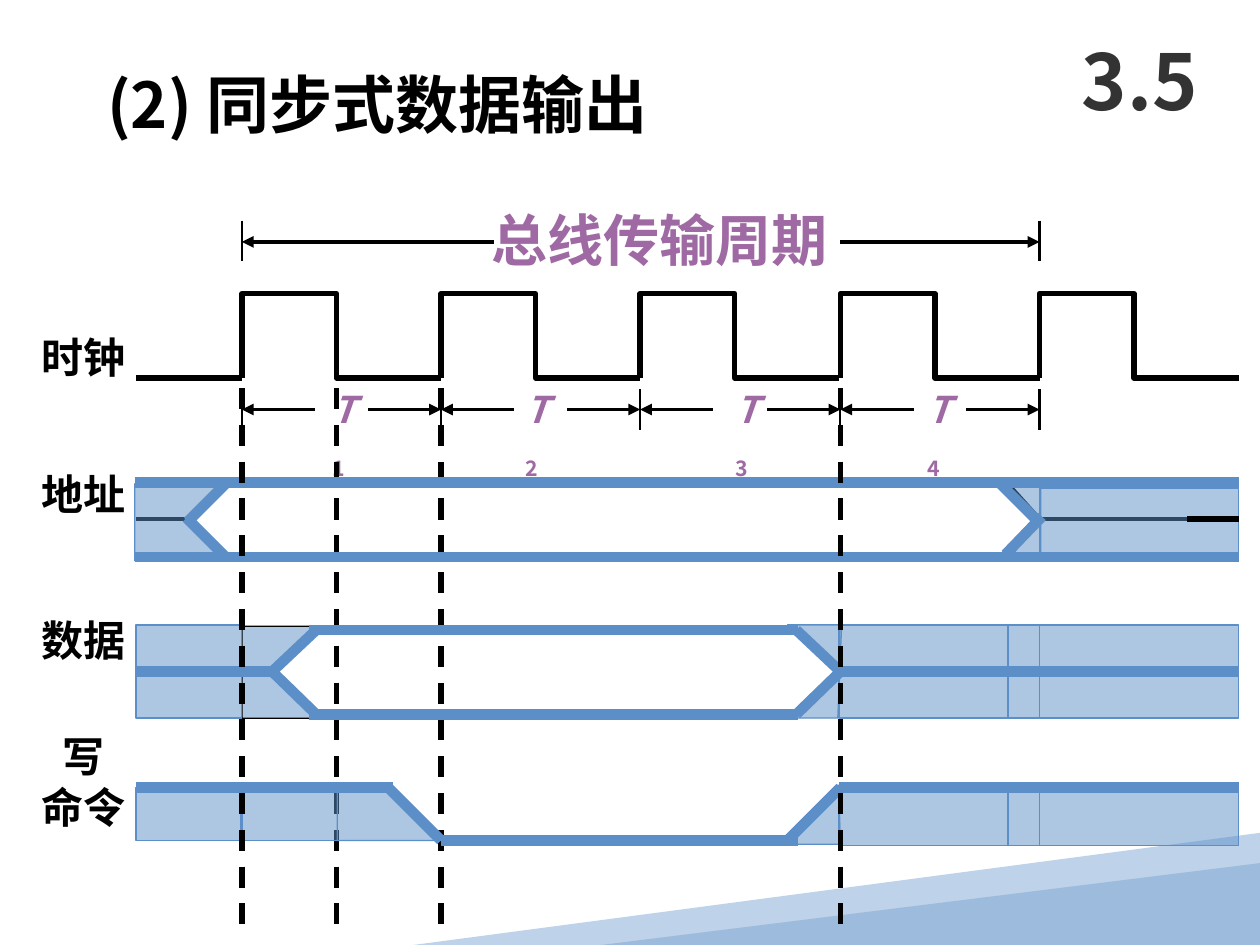
from itertools import pairwise

from lxml import etree
from pptx import Presentation
from pptx.dml.color import RGBColor
from pptx.enum.dml import MSO_LINE
from pptx.enum.shapes import MSO_CONNECTOR, MSO_SHAPE
from pptx.enum.text import MSO_ANCHOR, MSO_AUTO_SIZE, PP_ALIGN
from pptx.oxml.ns import qn
from pptx.util import Inches, Pt

STRAIGHT = MSO_CONNECTOR.STRAIGHT
RECTANGLE = MSO_SHAPE.RECTANGLE
TRIANGLE = MSO_SHAPE.ISOSCELES_TRIANGLE
DASH = MSO_LINE.DASH
LEFT, CENTER = PP_ALIGN.LEFT, PP_ALIGN.CENTER
TOP, MIDDLE = MSO_ANCHOR.TOP, MSO_ANCHOR.MIDDLE
NO_AUTOFIT = MSO_AUTO_SIZE.NONE

FONT = "Noto Sans CJK SC"
COLORS = {"ink": "000000", "signal": "5C8FC7", "accent": "9F69A3",
          "number": "333333", "wave": "BED2E9", "wedge": "9DBCDD"}
EDGES = [1.92, 3.5, 5.08, 6.67, 8.25]
STOPS = [1.07, 1.92, 2.67, 3.5, 5.08, 6.33, 6.66, 8, 8.25, 9.83]


def color(name):
    return RGBColor.from_string(COLORS[name])


def style_paragraph(paragraph, size, name="ink", align=LEFT):
    paragraph.alignment = align
    font = paragraph.font
    font.size = Pt(size)
    font.bold = True
    font.name = FONT
    font.color.rgb = color(name)
    defaults = paragraph._p.pPr.find(qn("a:defRPr"))
    etree.SubElement(defaults, qn("a:ea")).set("typeface", FONT)


def set_frame(frame, inset_x=0, inset_y=0, anchor=TOP, wrap=True):
    frame.word_wrap = wrap
    frame.auto_size = NO_AUTOFIT
    frame.vertical_anchor = anchor
    frame.margin_left = frame.margin_right = Inches(inset_x)
    frame.margin_top = frame.margin_bottom = Inches(inset_y)


def add_text(page, bounds, lines, size, name="ink", align=LEFT, **frame_options):
    box = page.shapes.add_textbox(*map(Inches, bounds))
    set_frame(box.text_frame, **frame_options)
    box.text_frame.text = "\n".join(lines)
    for paragraph in box.text_frame.paragraphs:
        style_paragraph(paragraph, size, name, align)


def add_title(page, text):
    title = page.shapes.title
    title.left, title.top, title.width, title.height = map(Inches, (0.75, 0.47, 5, 0.7))
    set_frame(title.text_frame, 0.1, 0.05, wrap=False)
    title.text_frame.text = text
    style_paragraph(title.text_frame.paragraphs[0], 36)


def add_period_label(page, left, number):
    box = page.shapes.add_textbox(*map(Inches, (left, 3.07, 0.25, 0.4)))
    set_frame(box.text_frame)
    paragraph = box.text_frame.paragraphs[0]
    letter = paragraph.add_run()
    letter.text = "T"
    letter.font.italic = True
    subscript = paragraph.add_run()
    subscript.text = str(number)
    subscript._r.get_or_add_rPr().set("baseline", "-25000")
    style_paragraph(paragraph, 21, "accent")


def add_line(page, start, end, width=3, name="ink", arrow=None, dash=None):
    line = page.shapes.add_connector(STRAIGHT, *map(Inches, (*start, *end)))
    line.line.color.rgb = color(name)
    line.line.width = Pt(width)
    if dash:
        line.line.dash_style = dash
    if arrow:
        etree.SubElement(line.line._get_or_add_ln(), qn(f"a:{arrow}")).set("type", "triangle")
    etree.SubElement(line._element.spPr, qn("a:effectLst"))
    return line


def add_rail(page, start, end):
    return add_line(page, start, end, 6, "signal")


def add_rails(page, y, stops):
    for left, right in pairwise(stops):
        add_rail(page, (left, y), (right, y))


def add_guide(page, x):
    add_line(page, (x, 3.08), (x, 7.41), dash=DASH)


def paint(shape, fill=None, line=None, width=0.75, alpha=None):
    shape.shadow.inherit = False
    if fill:
        shape.fill.solid()
        shape.fill.fore_color.rgb = color(fill)
        if alpha:
            tint = shape._element.spPr.find(qn("a:solidFill"))[0]
            etree.SubElement(tint, qn("a:alpha")).set("val", str(alpha * 1000))
    else:
        shape.fill.background()
    if line:
        shape.line.color.rgb = color(line)
        shape.line.width = Pt(width)
    else:
        shape.line.fill.background()


def add_outline(parent, points, closed=False, **look):
    corners = [(Inches(x), Inches(y)) for x, y in points]
    builder = parent.shapes.build_freeform(*corners[0], scale=1.0)
    builder.add_line_segments(corners[1:], close=closed)
    paint(builder.convert_to_shape(), **look)


def add_shade(page, points, line="signal", closed=False):
    add_outline(page, points, closed, fill="signal", line=line, alpha=50)


def add_block(page, left, top, width, height):
    block = page.shapes.add_shape(RECTANGLE, *map(Inches, (left, top, width, height)))
    paint(block, "signal", "signal", alpha=50)
    return block


def add_backdrop(page):
    group = page.shapes.add_group_shape()
    add_outline(group, [(10, 6.61), (10, 7.44), (6.73, 7.5), (3.28, 7.5)], True, fill="wave")
    wedge = group.shapes.add_shape(TRIANGLE, *map(Inches, (4.77, 6.85, 5.23, 0.65)))
    wedge.adjustments[0] = 1
    paint(wedge, "wedge")


def add_clock(page):
    add_line(page, (1.08, 3), (EDGES[0], 3))
    for x in EDGES:
        add_outline(page, [(x, 3), (x, 2.33), (x + 0.75, 2.33), (x + 0.75, 3), (x + 1.58, 3)],
                    line="ink", width=3)
        add_line(page, (x, 3.09), (x, 3.41), 1.25)
    for left, right in pairwise(EDGES):
        add_line(page, (left, 3.25), (left + 0.58, 3.25), 2.25, arrow="headEnd")
        add_line(page, (right - 0.58, 3.25), (right, 3.25), 2.25, arrow="tailEnd")
    for number, left in enumerate((2.64, 4.17, 5.84, 7.36), 1):
        add_period_label(page, left, number)
    for x in (EDGES[0], EDGES[-1]):
        add_line(page, (x, 1.75), (x, 2.07), 1.25)
    add_line(page, (1.92, 1.92), (3.92, 1.92), 2.25, arrow="headEnd")
    add_line(page, (6.67, 1.92), (8.25, 1.92), 2.25, arrow="tailEnd")
    add_text(page, (3.9, 1.63, 2.67, 0.53), ["总线传输周期"], 32, "accent", wrap=False)


def add_address(page):
    add_line(page, (1.08, 4.12), (1.51, 4.12), 2.5)
    add_line(page, (8.25, 4.12), (9.58, 4.12), 2.5)
    add_outline(page, [(1.78, 3.83), (1.52, 4.12), (1.76, 4.41), (8, 4.42), (8.25, 4.12), (7.99, 3.83)],
                True, line="ink", width=2.5)
    add_shade(page, [(1.5, 4.12), (1.83, 3.83), (1.07, 3.84), (1.07, 4.45), (1.83, 4.45)])
    add_shade(page, [(7.98, 3.81), (8.26, 3.81), (8.26, 4.42), (7.91, 4.42), (8.28, 4.13)])
    add_block(page, 8.25, 3.88, 1.58, 0.54)
    add_line(page, (9.42, 4.12), (9.83, 4.12))
    for y in (3.83, 4.42):
        add_rails(page, y, STOPS)
    for start, end in [((1.79, 3.84), (1.49, 4.14)), ((1.8, 4.43), (1.48, 4.11)),
                       ((8.27, 4.1), (7.98, 4.4)), ((8.24, 4.14), (7.92, 3.82))]:
        add_rail(page, start, end)


def add_data(page):
    add_shade(page, [(2.55, 4.97), (1.92, 4.97), (1.92, 5.7), (2.5, 5.7), (2.15, 5.32)], "ink")
    add_shade(page, [(6.25, 4.96), (6.68, 4.96), (6.65, 5.7), (6.29, 5.7), (6.66, 5.31)], closed=True)
    blocks = [add_block(page, left, 4.96, right - left, 0.74)
              for left, right in [(1.08, 1.92), *pairwise(STOPS[6:])]]
    for block in blocks:
        spine = add_rail(page, (1.08, 5.33), (1.92, 5.33))
        spine.begin_connect(block, 1)
        spine.end_connect(block, 3)
    add_rail(page, (1.92, 5.33), (2.17, 5.33)).begin_connect(blocks[0], 3)
    for y in (5, 5.67):
        add_rails(page, y, [2.45, *STOPS[2:6]])
        add_rail(page, (2.51, y), (2.16, 5.33))
        add_rail(page, (6.67, 5.33), (6.32, y))


def add_write(page):
    add_outline(page, [(1.08, 6.25), (3.08, 6.25), (3.5, 6.67), (6.25, 6.67), (6.67, 6.25), (9.5, 6.25)],
                line="ink", width=3)
    for bounds in [(1.08, 6.25, 0.83, 0.42), (1.92, 6.25, 0.76, 0.42), (6.66, 6.25, 1.34, 0.46),
                   (8, 6.25, 0.25, 0.46), (8.25, 6.29, 1.58, 0.42)]:
        add_block(page, *bounds)
    add_shade(page, [(2.67, 6.25), (3.08, 6.25), (3.5, 6.67), (2.67, 6.67)])
    add_shade(page, [(6.66, 6.23), (6.17, 6.7), (6.68, 6.7)])
    add_rails(page, 6.25, [1.08, 1.92, 2.67, 3.12])
    add_rails(page, 6.25, STOPS[6:])
    add_rails(page, 6.67, STOPS[3:6])
    add_rail(page, (3.08, 6.25), (3.5, 6.67))
    add_rail(page, (6.67, 6.25), (6.25, 6.67))


def main():
    deck = Presentation()
    deck.slide_width, deck.slide_height = Inches(10), Inches(7.5)
    page = deck.slides.add_slide(deck.slide_layouts[5])
    add_backdrop(page)
    add_title(page, "(2) 同步式数据输出")
    add_text(page, (8.42, 0.17, 1.25, 0.92), ["3.5"], 44, "number", CENTER,
             inset_x=0.1, inset_y=0.05, anchor=MIDDLE)
    add_clock(page)
    for top, lines in [(2.58, ["时钟"]), (3.67, ["地址"]), (4.83, ["数据"]), (5.75, ["写", "命令"])]:
        add_text(page, (0.25, top, 0.82, 0.1 + 0.4 * len(lines)), lines, 24, align=CENTER, inset_y=0.05)
    for x in (2.67, 3.5):
        add_guide(page, x)
    add_address(page)
    add_data(page)
    add_write(page)
    for x in (1.92, 6.67):
        add_guide(page, x)
    deck.save("out.pptx")


if __name__ == "__main__":
    main()
